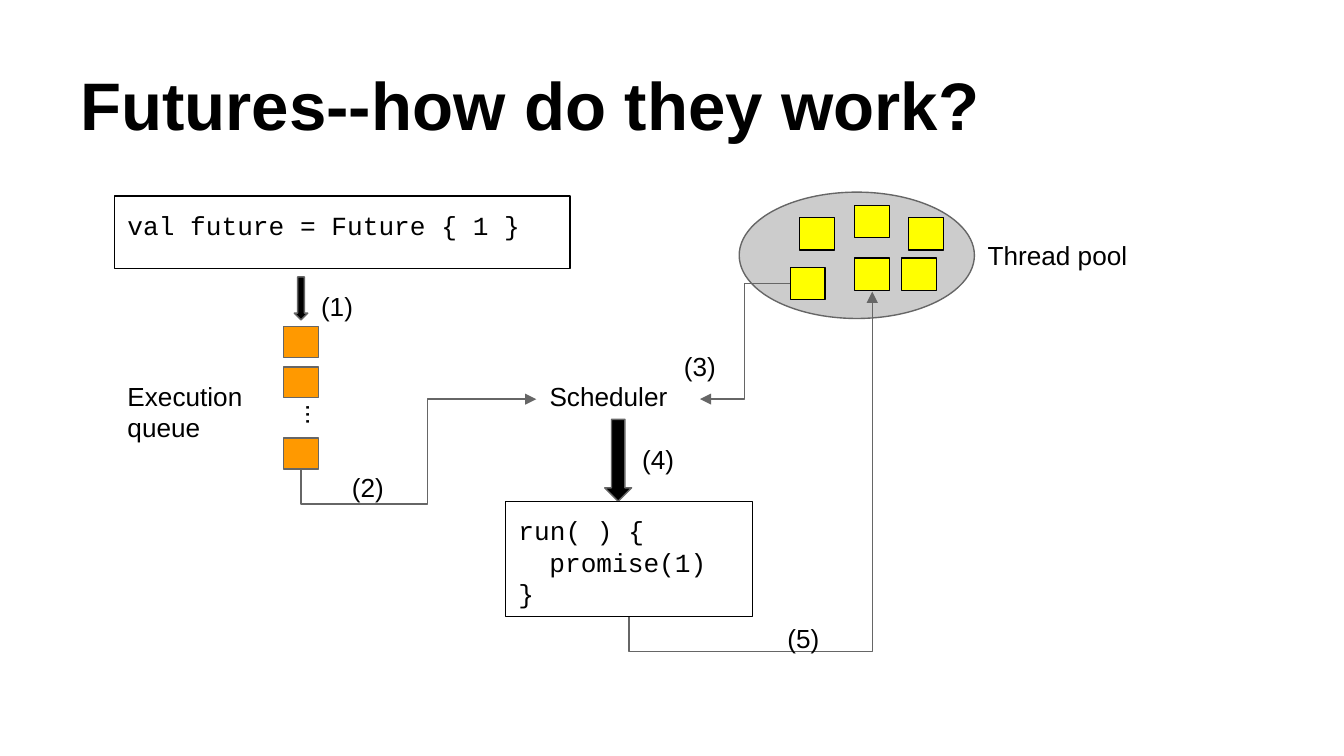
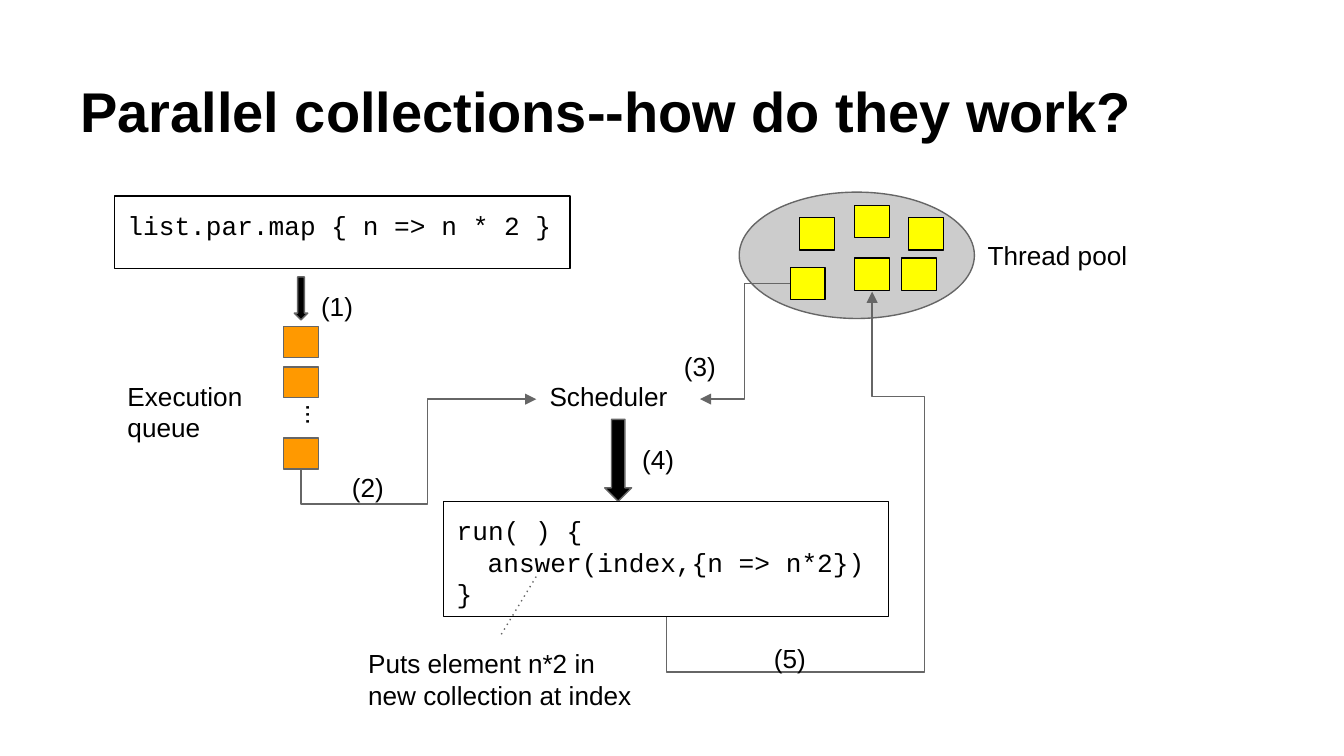
from dataclasses import dataclass

from lxml.etree import SubElement
from pptx import Presentation
from pptx.dml.color import RGBColor
from pptx.enum.shapes import MSO_CONNECTOR, MSO_SHAPE
from pptx.enum.text import MSO_ANCHOR, PP_ALIGN
from pptx.oxml.ns import qn
from pptx.shapes.autoshape import Shape
from pptx.shapes.connector import Connector
from pptx.slide import Slide
from pptx.util import Inches, Pt

BLACK = RGBColor(0x00, 0x00, 0x00)
GREY = RGBColor(0x66, 0x66, 0x66)
POOL_GREY = RGBColor(0xCC, 0xCC, 0xCC)
THREAD_YELLOW = RGBColor(0xFF, 0xFF, 0x00)
TASK_ORANGE = RGBColor(0xFF, 0x99, 0x00)
SANS, MONO = "Arial", "Courier New"
LINE_WIDTH = Pt(0.75)
CODE_INDENT = Inches(0.23)

Point = tuple[float, float]


@dataclass(frozen=True)
class Box:
    """A rectangle in inches."""

    left: float
    top: float
    width: float
    height: float

    def lengths(self) -> tuple[Inches, Inches, Inches, Inches]:
        """Return the four lengths in slide units."""
        return Inches(self.left), Inches(self.top), Inches(self.width), Inches(self.height)


@dataclass(frozen=True)
class Label:
    """A piece of plain text on the diagram."""

    text: str
    box: Box
    rotation: float = 0


@dataclass(frozen=True)
class Route:
    """An elbow arrow whose bends alternate between the two axes."""

    start: Point
    end: Point
    bends: tuple[float, ...]
    leaves_vertically: bool = True


@dataclass(frozen=True)
class Diagram:
    """The parts in which one execution diagram differs from another."""

    title: str
    title_size: float
    submitted_code: str
    run_body: str
    run_box: Box
    result_route: Route
    result_label: Label
    note: Label | None = None
    note_line: tuple[Point, Point] | None = None


TITLE_BOX = Box(0.5, 0.23, 9, 0.94)
SUBMITTED_BOX = Box(0.85, 1.46, 3.39, 0.54)
POOL_BOX = Box(5.5, 1.43, 1.75, 0.94)
THREADS = ((6.36, 1.92), (6.36, 1.53), (5.88, 1.99), (5.95, 1.62), (6.76, 1.62), (6.71, 1.92))
THREAD_SIZE = (0.26, 0.24)
TASK_LEFT, TASK_TOPS, TASK_SIZE = 2.11, (2.43, 2.73, 3.26), (0.26, 0.23)
STEP_ARROWS = (Box(4.5, 3.12, 0.2, 0.61), Box(2.19, 2.06, 0.1, 0.32))
STEP_SIZE = (0.51, 0.32)
SCHEDULER_ROUTES = (
    Route((2.24, 3.49), (3.99, 2.97), (3.75, 3.18)),
    Route((5.88, 2.11), (5.21, 2.97), (5.54,), leaves_vertically=False),
)
LABELS = (
    Label("Scheduler", Box(3.99, 2.73, 1.22, 0.48)),
    Label("Thread pool", Box(7.25, 1.68, 1.44, 0.44)),
    Label("Execution\nqueue", Box(0.85, 2.73, 1.22, 0.48)),
    Label("...", Box(2, 2.89, 0.38, 0.37), rotation=270),
    Label("(1)", Box(2.29, 2.06, *STEP_SIZE)),
    Label("(2)", Box(2.52, 3.41, *STEP_SIZE)),
    Label("(3)", Box(4.99, 2.51, *STEP_SIZE)),
    Label("(4)", Box(4.68, 3.2, *STEP_SIZE)),
)
DIAGRAMS = (
    Diagram(
        title="Futures--how do they work?",
        title_size=36,
        submitted_code="val future = Future { 1 }",
        run_body="promise(1)",
        run_box=Box(3.76, 3.73, 1.84, 0.86),
        result_route=Route((4.68, 4.59), (6.49, 2.17), (4.85,)),
        result_label=Label("(5)", Box(5.76, 4.53, *STEP_SIZE)),
    ),
    Diagram(
        title="Parallel collections--how do they work?",
        title_size=30,
        submitted_code="list.par.map { n => n * 2 }",
        run_body="answer(index,{n => n*2})",
        run_box=Box(3.3, 3.73, 3.31, 0.86),
        result_route=Route((4.96, 4.59), (6.49, 2.17), (5, 6.88, 2.95)),
        result_label=Label("(5)", Box(5.66, 4.68, *STEP_SIZE)),
        note=Label("Puts element n*2 in new collection at index", Box(2.64, 4.72, 2.18, 0.61)),
        note_line=((3.73, 4.72), (3.99, 4.29)),
    ),
)


def write(holder: Shape, text: str, font: str = SANS, size: float = 14, bold: bool = False) -> None:
    """Fill a shape with left-aligned black text."""
    frame = holder.text_frame
    frame.word_wrap = True
    frame.vertical_anchor = MSO_ANCHOR.TOP
    frame.margin_left = frame.margin_right = Inches(0.1)
    frame.margin_top = frame.margin_bottom = Inches(0.1)
    frame.text = text
    for paragraph in frame.paragraphs:
        paragraph.alignment = PP_ALIGN.LEFT
        for run in paragraph.runs:
            run.font.name = font
            run.font.size = Pt(size)
            run.font.bold = bold
            run.font.color.rgb = BLACK


def add_label(slide: Slide, label: Label) -> None:
    """Place a label on the diagram."""
    caption = slide.shapes.add_textbox(*label.box.lengths())
    caption.rotation = label.rotation
    write(caption, label.text)


def add_figure(slide: Slide, kind: MSO_SHAPE, box: Box, fill: RGBColor | None, line: RGBColor) -> Shape:
    """Draw an outlined preset shape, unfilled when no fill is given."""
    figure = slide.shapes.add_shape(kind, *box.lengths())
    figure.shadow.inherit = False
    if fill is None:
        figure.fill.background()
    else:
        figure.fill.solid()
        figure.fill.fore_color.rgb = fill
    figure.line.color.rgb = line
    figure.line.width = LINE_WIDTH
    return figure


def add_code(slide: Slide, box: Box, code: str) -> None:
    """Draw framed code, indenting the lines between the first and the last."""
    frame = add_figure(slide, MSO_SHAPE.RECTANGLE, box, None, BLACK)
    write(frame, code, MONO)
    for properties in list(frame.element.iter(qn("a:pPr")))[1:-1]:
        properties.set("marL", str(CODE_INDENT))


def add_line(slide: Slide, kind: MSO_CONNECTOR, start: Point, end: Point) -> Connector:
    """Draw a thin grey connector without a shadow."""
    line = slide.shapes.add_connector(kind, *(Inches(value) for value in start + end))
    line.line.color.rgb = GREY
    line.line.width = LINE_WIDTH
    SubElement(line.element.spPr, qn("a:effectLst"))
    return line


def add_route(slide: Slide, route: Route) -> None:
    """Draw an elbow arrow through the bends of a route."""
    arrow = add_line(slide, MSO_CONNECTOR.ELBOW, route.start, route.end)
    properties = arrow.element.spPr
    (x1, y1), (x2, y2) = route.start, route.end
    spans = [(x1, x2), (y1, y2)]
    if route.leaves_vertically:
        spans.reverse()
        width, height = abs(y2 - y1), abs(x2 - x1)
        turned = Box((x1 + x2 - width) / 2, (y1 + y2 - height) / 2, width, height)
        arrow.left, arrow.top, arrow.width, arrow.height = turned.lengths()
        transform = properties.find(qn("a:xfrm"))
        transform.attrib.pop("flipV", None)
        transform.set("rot", str(270 * 60000))
    geometry = properties.find(qn("a:prstGeom"))
    geometry.set("prst", f"bentConnector{len(route.bends) + 2}")
    guides = geometry.find(qn("a:avLst"))
    for index, bend in enumerate(route.bends):
        first, last = spans[index % 2]
        share = round((bend - first) / (last - first) * 100000)
        SubElement(guides, qn("a:gd"), name=f"adj{index + 1}", fmla=f"val {share}")
    SubElement(properties.find(qn("a:ln")), qn("a:tailEnd"), type="triangle")


def add_note(slide: Slide, note: Label, ends: tuple[Point, Point]) -> None:
    """Add a remark with its dotted leader line."""
    add_label(slide, note)
    leader = add_line(slide, MSO_CONNECTOR.STRAIGHT, *ends)
    SubElement(leader.element.spPr.find(qn("a:ln")), qn("a:prstDash"), val="dot")


def add_diagram(slide: Slide, diagram: Diagram) -> None:
    """Draw one complete execution diagram."""
    title = slide.shapes.add_textbox(*TITLE_BOX.lengths())
    write(title, diagram.title, size=diagram.title_size, bold=True)
    title.text_frame.vertical_anchor = MSO_ANCHOR.BOTTOM

    add_code(slide, SUBMITTED_BOX, diagram.submitted_code)
    add_figure(slide, MSO_SHAPE.OVAL, POOL_BOX, POOL_GREY, GREY)
    for corner in THREADS:
        add_figure(slide, MSO_SHAPE.RECTANGLE, Box(*corner, *THREAD_SIZE), THREAD_YELLOW, BLACK)
    for top in TASK_TOPS:
        add_figure(slide, MSO_SHAPE.RECTANGLE, Box(TASK_LEFT, top, *TASK_SIZE), TASK_ORANGE, GREY)
    for arrow_box in STEP_ARROWS:
        add_figure(slide, MSO_SHAPE.DOWN_ARROW, arrow_box, BLACK, GREY)
    add_code(slide, diagram.run_box, f"run( ) {{\n{diagram.run_body}\n}}")
    for route in (*SCHEDULER_ROUTES, diagram.result_route):
        add_route(slide, route)
    for label in (*LABELS, diagram.result_label):
        add_label(slide, label)
    if diagram.note and diagram.note_line:
        add_note(slide, diagram.note, diagram.note_line)


def build() -> None:
    """Build and save the presentation."""
    presentation = Presentation()
    presentation.slide_width = Inches(10)
    presentation.slide_height = presentation.slide_width * 9 // 16
    for diagram in DIAGRAMS:
        add_diagram(presentation.slides.add_slide(presentation.slide_layouts[6]), diagram)
    presentation.save("out.pptx")


if __name__ == "__main__":
    build()
